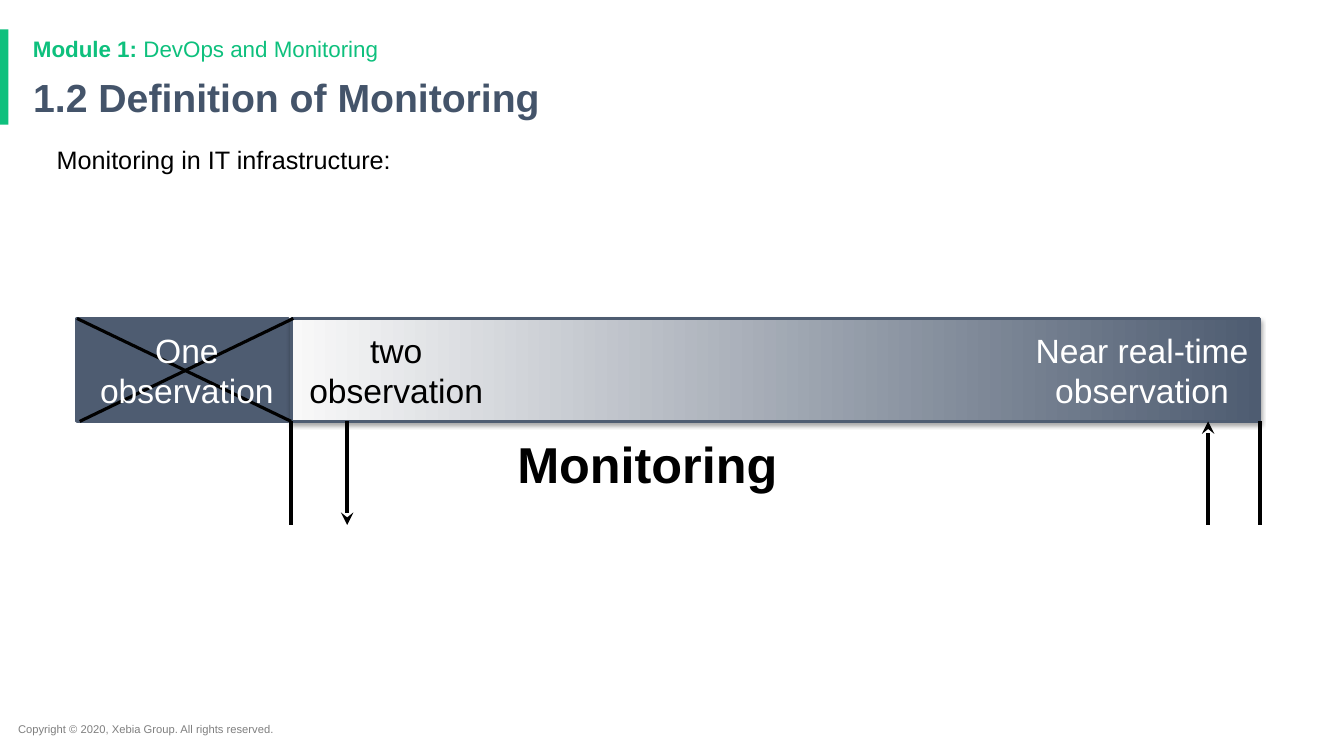
from dataclasses import dataclass

from lxml import etree
from pptx import Presentation
from pptx.dml.color import RGBColor
from pptx.enum.shapes import MSO_CONNECTOR, MSO_SHAPE
from pptx.enum.text import MSO_ANCHOR, MSO_AUTO_SIZE, PP_ALIGN
from pptx.oxml.ns import qn
from pptx.util import Pt

STRAIGHT = MSO_CONNECTOR.STRAIGHT
RECTANGLE = MSO_SHAPE.RECTANGLE
TOP, MIDDLE = MSO_ANCHOR.TOP, MSO_ANCHOR.MIDDLE
NO_AUTOFIT = MSO_AUTO_SIZE.NONE
LEFT, CENTER = PP_ALIGN.LEFT, PP_ALIGN.CENTER


@dataclass(frozen=True)
class Theme:
    font: str = "Arial"
    green: str = "0EC07D"
    title: str = "44546A"
    slate: str = "4E5C71"
    pale: str = "F9F9F9"
    grey: str = "7F7F7F"
    black: str = "000000"
    white: str = "FFFFFF"
    footer_size: float = 8
    module_size: float = 16
    body_size: float = 18
    label_size: float = 24
    title_size: float = 28
    caption_size: float = 36
    outline: float = 2.25
    marker: float = 3


class SlideBuilder:
    def __init__(self, slide, theme):
        self.slide = slide
        self.theme = theme

    def place(self, shape, box):
        shape.left, shape.top, shape.width, shape.height = map(Pt, box)

    def style_text(self, frame, size, color, bold=False, align=LEFT):
        for paragraph in frame.paragraphs:
            paragraph.alignment = align
            for run in paragraph.runs:
                run.font.name = self.theme.font
                run.font.size = Pt(size)
                run.font.bold = bold
                run.font.color.rgb = RGBColor.from_string(color)

    def title(self, text, box):
        title = self.slide.shapes.title
        self.place(title, box)
        frame = title.text_frame
        frame.text = text
        frame.auto_size = NO_AUTOFIT
        frame.vertical_anchor = MIDDLE
        self.style_text(frame, self.theme.title_size, self.theme.title, bold=True)

    def body(self, text, box):
        body = self.slide.placeholders[1]
        self.place(body, box)
        frame = body.text_frame
        frame.text = text
        frame.auto_size = NO_AUTOFIT
        frame.vertical_anchor = TOP
        frame.margin_left = frame.margin_top = 0
        paragraph = frame.paragraphs[0]
        properties = paragraph._p.get_or_add_pPr()
        properties.set("marL", "0")
        properties.set("indent", "0")
        etree.SubElement(properties, qn("a:buNone"))
        paragraph.space_before = Pt(0)
        self.style_text(frame, self.theme.body_size, self.theme.black)

    def text(self, text, box, size, color, bold=False, align=LEFT, side_margin=7.2):
        text_box = self.slide.shapes.add_textbox(*map(Pt, box))
        frame = text_box.text_frame
        frame.text = text
        frame.word_wrap = True
        frame.margin_left = frame.margin_right = Pt(side_margin)
        self.style_text(frame, size, color, bold, align)
        return frame

    def label(self, text, box, color):
        self.text(text, box, self.theme.label_size, color, align=CENTER, side_margin=0)

    def block(self, box, color, outlined=True):
        block = self.slide.shapes.add_shape(RECTANGLE, *map(Pt, box))
        block.shadow.inherit = False
        block.fill.solid()
        block.fill.fore_color.rgb = RGBColor.from_string(color)
        if outlined:
            block.line.color.rgb = RGBColor.from_string(color)
            block.line.width = Pt(self.theme.outline)
        else:
            block.line.fill.background()
        return block

    def gradient_block(self, box, start, end):
        block = self.block(box, end)
        block.fill.gradient()
        block.fill.gradient_angle = 0
        for stop, color in zip(block.fill.gradient_stops, (start, end)):
            stop.color.rgb = RGBColor.from_string(color)
        effects = block._element.spPr.find(qn("a:effectLst"))
        shadow = etree.SubElement(
            effects, qn("a:outerShdw"), blurRad=str(Pt(3.1)), dist=str(Pt(1.8)),
            dir="5400000", rotWithShape="0")
        tone = etree.SubElement(shadow, qn("a:srgbClr"), val=self.theme.black)
        etree.SubElement(tone, qn("a:alpha"), val="35000")

    def line(self, start, end, width, arrow=False):
        line = self.slide.shapes.add_connector(STRAIGHT, *map(Pt, start + end))
        line.line.color.rgb = RGBColor.from_string(self.theme.black)
        line.line.width = Pt(width)
        if arrow:
            etree.SubElement(line.line._get_or_add_ln(), qn("a:tailEnd"), type="stealth")
        etree.SubElement(line._element.spPr, qn("a:effectLst"))


def main():
    theme = Theme()
    deck = Presentation()
    deck.slide_width, deck.slide_height = Pt(960), Pt(540)
    page = SlideBuilder(deck.slides.add_slide(deck.slide_layouts[1]), theme)

    page.block((0, 21, 6, 68), theme.green, outlined=False)
    page.text("Copyright © 2020, Xebia Group. All rights reserved.",
              (5.8, 512.5, 513, 17.5), theme.footer_size, theme.grey)
    module = page.text("Module 1: ", (16.5, 21.5, 828, 24),
                       theme.module_size, theme.green)
    module.paragraphs[0].add_run().text = "DevOps and Monitoring"
    page.style_text(module, theme.module_size, theme.green)
    module.paragraphs[0].runs[0].font.bold = True
    page.title("1.2 Definition of Monitoring", (16.5, 49.5, 828, 39))
    page.body("Monitoring in IT infrastructure:", (40.5, 103, 809, 381))

    bar_left, bar_split, bar_right = 55, 208, 900
    bar_top, bar_height = 227.5, 73.5
    bar_bottom = bar_top + bar_height
    page.block((bar_left, bar_top, 151, bar_height), theme.slate)
    page.gradient_block((bar_split, bar_top, bar_right - bar_split, bar_height),
                        theme.pale, theme.slate)
    page.line((bar_left, bar_top), (bar_split, bar_bottom), theme.outline)
    page.line((bar_split + 1.5, bar_top), (bar_left + 2, bar_bottom), theme.outline)

    label_top, label_height = 232, 65.5
    for words, left, width, color in (
        ("One\nobservation", 63.5, 140, theme.white),
        ("two\nobservation", 213, 140, theme.black),
        ("Near real-time\nobservation", 731.5, 168.5, theme.white),
    ):
        page.label(words, (left, label_top, width, label_height), color)
    page.text("Monitoring", (361.5, 305.5, 202, 51), theme.caption_size,
              theme.black, bold=True, align=CENTER)

    marker_bottom = bar_bottom + 74
    for x in (bar_split, bar_right):
        page.line((x, bar_bottom), (x, marker_bottom), theme.marker)
    for x, start, end in ((863, marker_bottom, bar_bottom),
                          (248, bar_bottom, marker_bottom)):
        page.line((x, start), (x, end), theme.marker, arrow=True)

    deck.save("out.pptx")


if __name__ == "__main__":
    main()
